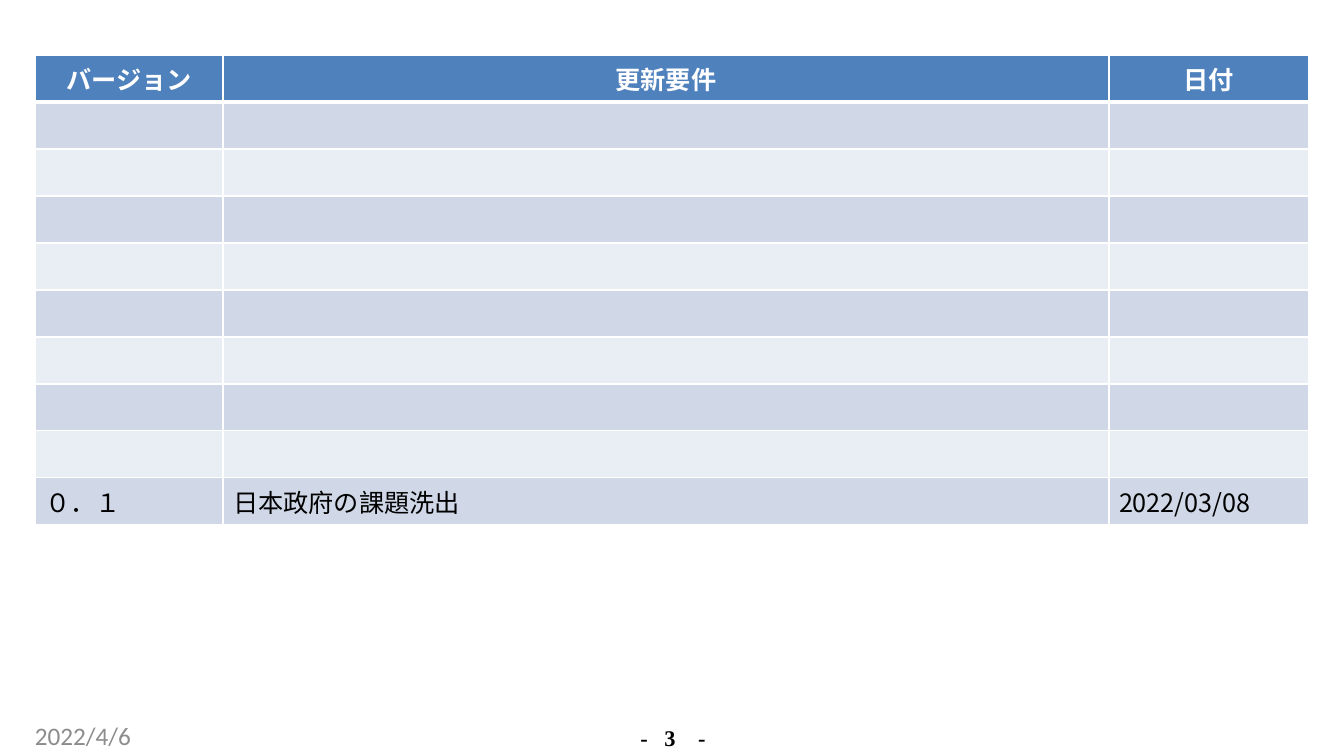
from pptx import Presentation
from pptx import util as u
from pptx.dml.color import RGBColor
from pptx.enum import text
from pptx.oxml.ns import qn
from lxml import etree

PX = 914400 / 100.8
COLORS = {
    "header": "4F81BD",
    "odd": "D0D8E8",
    "even": "E9EDF4",
    "white": "FFFFFF",
    "black": "000000",
    "date": "8C8C8C",
}
TABLE_FONT = "Noto Sans CJK SC"
COLUMN_WIDTHS = [188, 886, 200]
ROW_HEIGHT = 47
HEADINGS = ["バージョン", "更新要件", "日付"]
BLANK_VERSIONS = 8
FIRST_VERSION = ["０．１", "日本政府の課題洗出", "2022/03/08"]


def px(length):
    return u.Emu(round(length * PX))


def color(name):
    return RGBColor.from_string(COLORS[name])


def add_span(para, words, color_name, **font_values):
    span = para.add_run()
    span.text = words
    for name, value in font_values.items():
        setattr(span.font, name, value)
    span.font.color.rgb = color(color_name)
    properties = span.font._element
    etree.SubElement(properties, qn("a:ea"), typeface=font_values["name"])
    return properties


def add_text_box(page, left, top, width, height):
    """Add a box without margins and return its first paragraph."""
    frame = page.shapes.add_textbox(px(left), px(top), px(width), px(height)).text_frame
    values = {f"margin_{side}": 0 for side in ("left", "top", "right", "bottom")}
    values.update(word_wrap=True, auto_size=text.MSO_AUTO_SIZE.SHAPE_TO_FIT_TEXT)
    for name, value in values.items():
        setattr(frame, name, value)
    return frame.paragraphs[0]


def add_borders(cell, bottom_width):
    properties = cell._tc.get_or_add_tcPr()
    widths = {"lnL": 1, "lnR": 1, "lnT": 1, "lnB": bottom_width}
    for side, width in widths.items():
        line = etree.SubElement(properties, qn(f"a:{side}"), w=str(u.Pt(width)))
        fill = etree.SubElement(line, qn("a:solidFill"))
        etree.SubElement(fill, qn("a:srgbClr"), val=COLORS["white"])


def format_cell(cell, words, fill, is_header):
    add_borders(cell, 3 if is_header else 1)
    cell.fill.solid()
    cell.fill.fore_color.rgb = color(fill)
    para = cell.text_frame.paragraphs[0]
    para.alignment = text.PP_ALIGN.CENTER if is_header else text.PP_ALIGN.LEFT
    if words:
        add_span(para, words, "white" if is_header else "black",
                 name=TABLE_FONT, size=u.Pt(18), bold=is_header)
    else:
        para.font.size = u.Pt(18)


def add_history_table(page, left, top):
    rows = [HEADINGS] + [[""] * len(HEADINGS)] * BLANK_VERSIONS + [FIRST_VERSION]
    table = page.shapes.add_table(
        len(rows), len(HEADINGS), px(left), px(top),
        px(sum(COLUMN_WIDTHS)), px(ROW_HEIGHT * len(rows))).table
    for column, width in zip(table.columns, COLUMN_WIDTHS):
        column.width = px(width)
    for index, row in enumerate(rows):
        table.rows[index].height = px(ROW_HEIGHT)
        fill = "header" if index == 0 else "odd" if index % 2 else "even"
        for column, words in enumerate(row):
            format_cell(table.cell(index, column), words, fill, index == 0)


def add_date(page):
    para = add_text_box(page, 35, 720, 309, 30)
    add_span(para, "2022/4/6", "date", name="Calibri", size=u.Pt(18))


def add_page_number(page):
    para = add_text_box(page, 629, 725, 87, 25)
    para.alignment = text.PP_ALIGN.CENTER
    para.line_spacing = u.Pt(18.4)
    properties = para._p.get_or_add_pPr()
    properties.set("marL", str(px(1)))
    tabs = etree.SubElement(properties, qn("a:tabLst"))
    etree.SubElement(tabs, qn("a:tab"), pos=str(px(24)), algn="l")
    span_properties = add_span(para, "-\t3\u3000-".replace("\u3000", "　"), "black",
                               name="Times New Roman", size=u.Pt(16), bold=True)
    span_properties.set("spc", "-10")


def main():
    deck = Presentation()
    deck.slide_width, deck.slide_height = px(1344), px(756)
    page = deck.slides.add_slide(deck.slide_layouts[6])
    add_date(page)
    add_history_table(page, 35, 55)
    add_page_number(page)
    deck.save("out.pptx")


if __name__ == "__main__":
    main()
